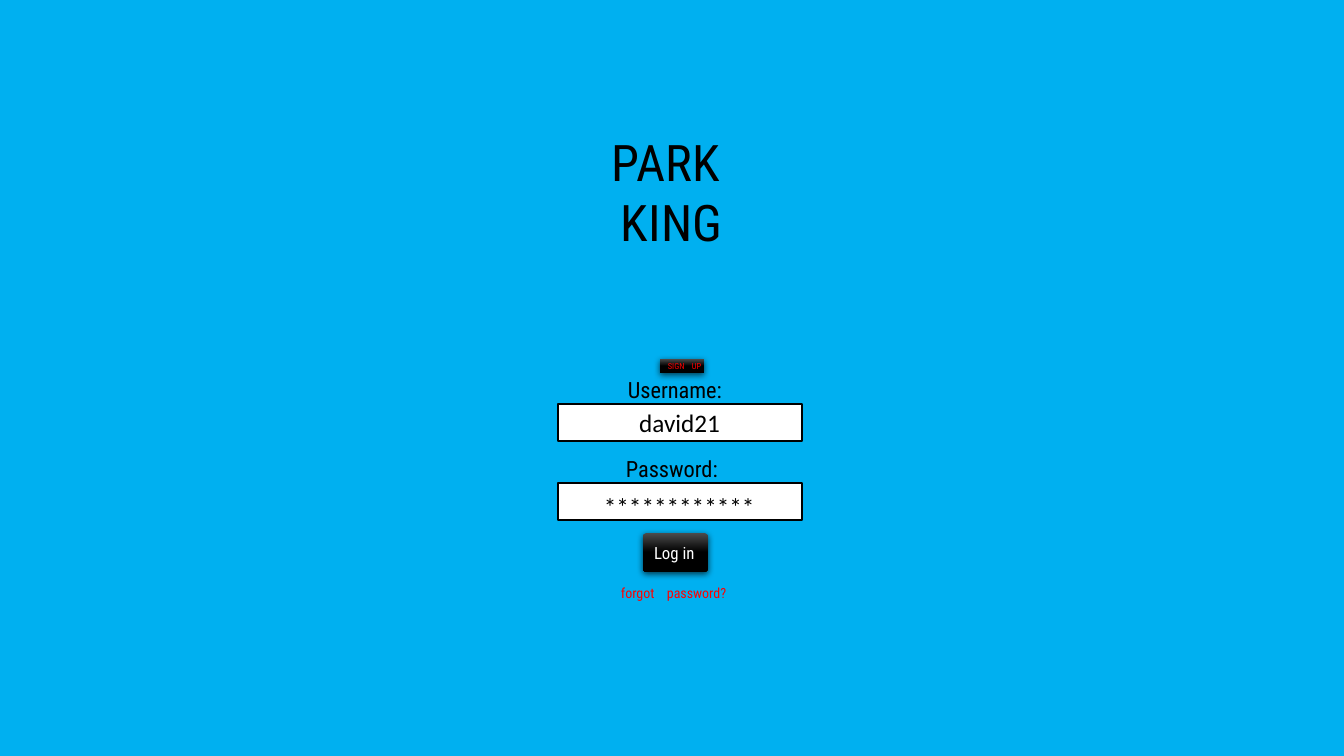
import pptx
import pptx.util
import pptx.dml.color
import pptx.enum.shapes
import pptx.enum.text
import pptx.oxml
import pptx.oxml.ns

RGB = pptx.dml.color.RGBColor
SKY = RGB(0x00, 0xB0, 0xF0)
BLACK = RGB(0x00, 0x00, 0x00)
GREY = RGB(0x4B, 0x4B, 0x4B)
WHITE = RGB(0xFF, 0xFF, 0xFF)
RED = RGB(0xFF, 0x00, 0x00)
ROBOTO = "Roboto Condensed"
CALIBRI = "Calibri"
SCALE = 914400 / 100.8
SHAPE = pptx.enum.shapes.MSO_SHAPE
ALIGN = pptx.enum.text.PP_ALIGN
ANCHOR = pptx.enum.text.MSO_ANCHOR
SHADOW = (
    '<a:outerShdw %s blurRad="57150" dist="19050" dir="5400000" rotWithShape="0">'
    '<a:srgbClr val="000000"><a:alpha val="63000"/></a:srgbClr></a:outerShdw>'
    % pptx.oxml.ns.nsdecls("a"))


def px(*sizes):
    return [round(size * SCALE) for size in sizes]


def write(shape, text, size=16, font=ROBOTO, color=BLACK, align=ALIGN.LEFT,
          anchor=ANCHOR.TOP, wrap=True, tab=None):
    """Fill a shape with text, one paragraph a line; tab is a stop in px."""
    frame = shape.text_frame
    frame.word_wrap = wrap
    frame.auto_size = pptx.enum.text.MSO_AUTO_SIZE.NONE
    frame.vertical_anchor = anchor
    frame.text = text
    for para in frame.paragraphs:
        para.alignment = align
        if tab:
            para._p.get_or_add_pPr().append(pptx.oxml.parse_xml(
                '<a:tabLst %s><a:tab pos="%d" algn="l"/></a:tabLst>'
                % (pptx.oxml.ns.nsdecls("a"), px(tab)[0])))
        for run in para.runs:
            run.font.size = pptx.util.Pt(size)
            run.font.name = font
            run.font.color.rgb = color


def label(slide, box, text, **style):
    write(slide.shapes.add_textbox(*px(*box)), text, **style)


def field(slide, top):
    """Draw an empty white entry box."""
    shape = slide.shapes.add_shape(SHAPE.RECTANGLE, *px(558, top, 244, 37))
    shape.shadow.inherit = False
    shape.fill.solid()
    shape.fill.fore_color.rgb = WHITE
    shape.line.color.rgb = BLACK
    shape.line.width = pptx.util.Pt(1)


def button(slide, box):
    """Draw a glossy black button with a soft shadow."""
    shape = slide.shapes.add_shape(SHAPE.ROUNDED_RECTANGLE, *px(*box))
    shape.adjustments[0] = 0.1
    shape.line.fill.background()
    shape.fill.gradient()
    shape.fill.gradient_angle = 270
    for stop, place, color in zip(shape.fill.gradient_stops, (0, 0.5), (GREY, BLACK)):
        stop.position = place
        stop.color.rgb = color
    shape.shadow.inherit = False
    effects = shape._element.spPr.find(pptx.oxml.ns.qn("a:effectLst"))
    effects.append(pptx.oxml.parse_xml(SHADOW))
    return shape


def heading(slide, box, text):
    title = slide.shapes.title
    title.left, title.top, title.width, title.height = px(*box)
    write(title, text, size=36, align=ALIGN.CENTER)


def main():
    deck = pptx.Presentation()
    deck.slide_width, deck.slide_height = px(1344, 756)
    slide = deck.slides.add_slide(deck.slide_layouts[5])
    slide.background.fill.solid()
    slide.background.fill.fore_color.rgb = SKY

    heading(slide, (568, 126, 207, 132), "PARK \nKING")

    label(slide, (618, 371, 265, 37), "Username:")
    field(slide, 404)
    label(slide, (502, 402, 228, 40), "david21", size=18, font=CALIBRI,
          align=ALIGN.RIGHT)

    label(slide, (616, 450, 265, 37), "Password:")
    field(slide, 483)
    label(slide, (594, 486, 237, 40), "*" * 12, size=18, font=CALIBRI)

    login = button(slide, (643, 533, 65, 39))
    write(login, "Log in", size=12, color=WHITE, anchor=ANCHOR.MIDDLE, wrap=False)
    label(slide, (611, 580, 226, 27), "forgot\tpassword?", size=10, color=RED, tab=46)

    button(slide, (660, 359, 44, 14))
    label(slide, (658, 356, 107, 20), "SIGN\tUP", size=6, color=RED, tab=24)

    deck.save("out.pptx")


if __name__ == "__main__":
    main()
